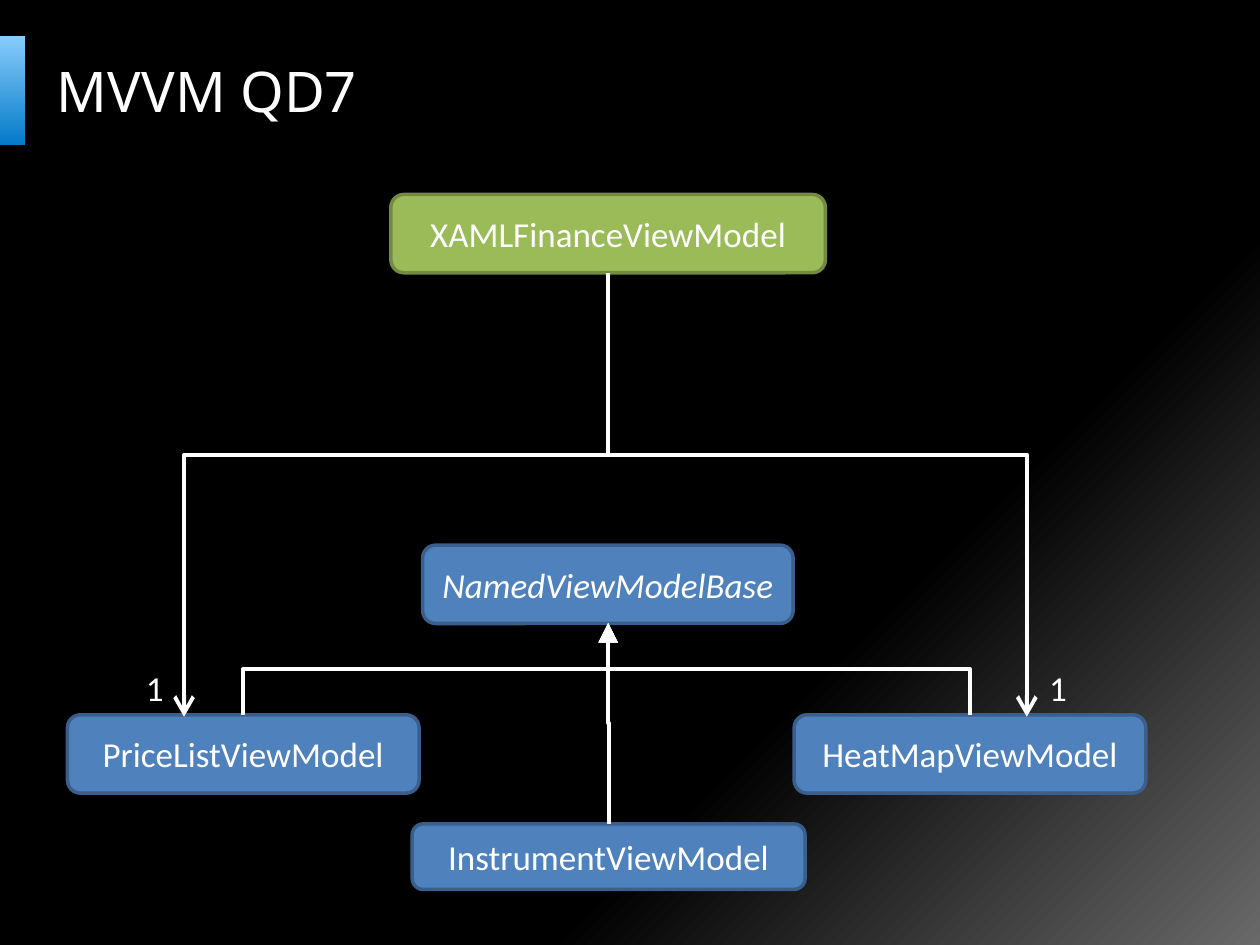
from lxml import etree
from pptx import Presentation
from pptx import util as u
from pptx.dml.color import RGBColor
from pptx.enum import shapes as sh, text as tx
from pptx.oxml import ns

WHITE = "FFFFFF"
BLUE = ("4F81BD", "3A5F8C")
GREEN = ("9BBB59", "738A42")


def color(code):
    return RGBColor.from_string(code)


def child(node, tag, **attrs):
    return etree.SubElement(node, ns.qn(tag), attrs)


def style(shape, value, size, font="Calibri", italic=None):
    para = shape.text_frame.paragraphs[0]
    para.text = value
    para.font.size = u.Pt(size)
    para.font.name = font
    para.font.italic = italic
    para.font.color.rgb = color(WHITE)
    return para


def panel(slide, area, stops, angle=None):
    shape = slide.shapes.add_shape(sh.MSO_SHAPE.RECTANGLE, *map(u.Cm, area))
    shape.shadow.inherit = False
    shape.line.fill.background()
    shape.fill.gradient()
    grad = shape.fill._xPr.find(ns.qn("a:gradFill"))
    for node in list(grad):
        grad.remove(node)
    items = child(grad, "a:gsLst")
    for pos, code in stops:
        stop = child(items, "a:gs", pos=str(pos * 1000))
        child(stop, "a:srgbClr", val=code)
    if angle is None:
        route = child(grad, "a:path", path="circle")
        child(route, "a:fillToRect", l="100000", t="100000")
    else:
        child(grad, "a:lin", ang=str(angle * 60000), scaled="0")


def box(slide, name, area, look=BLUE, italic=None):
    shape = slide.shapes.add_shape(sh.MSO_SHAPE.ROUNDED_RECTANGLE, *map(u.Cm, area))
    shape.shadow.inherit = False
    shape.fill.solid()
    shape.fill.fore_color.rgb = color(look[0])
    shape.line.color.rgb = color(look[1])
    shape.line.width = u.Pt(2)
    shape.text_frame.vertical_anchor = tx.MSO_ANCHOR.MIDDLE
    shape.text_frame.word_wrap = True
    style(shape, name, 20, italic=italic).alignment = tx.PP_ALIGN.CENTER


def label(slide, value, area, size, font="Calibri", wrap=False):
    shape = slide.shapes.add_textbox(*map(u.Cm, area))
    shape.text_frame.word_wrap = wrap
    if wrap:
        shape.text_frame.vertical_anchor = tx.MSO_ANCHOR.MIDDLE
    style(shape, value, size, font)


def elbow(slide, start, end, head, bend=0.5):
    (x1, y1), (x2, y2) = start, end
    mid_x, mid_y = (x1 + x2) / 2, (y1 + y2) / 2
    down = y2 > y1
    half = abs(y2 - y1) / 2
    rise = (x1 - x2 if down else x2 - x1) / 2
    ends = (mid_x - half, mid_y - rise, mid_x + half, mid_y + rise)
    line = slide.shapes.add_connector(sh.MSO_CONNECTOR.ELBOW, *map(u.Cm, ends))
    line.line.color.rgb = color(WHITE)
    line.line.width = u.Pt(2.25)
    props = line._element.spPr
    props.find(ns.qn("a:xfrm")).set("rot", str((90 if down else 270) * 60000))
    guides = props.find(ns.qn("a:prstGeom")).find(ns.qn("a:avLst"))
    child(guides, "a:gd", name="adj1", fmla=f"val {round(bend * 100000)}")
    child(line.line._get_or_add_ln(), "a:tailEnd", type=head, w="lg", len="lg")
    child(props, "a:effectLst")


def main():
    deck = Presentation()
    deck.slide_width, deck.slide_height = u.Cm(25.4), u.Cm(19.05)
    slide = deck.slides.add_slide(deck.slide_layouts[6])
    slide.background.fill.solid()
    slide.background.fill.fore_color.rgb = color("000000")

    panel(slide, (0, 0.73, 0.51, 2.2), [(0, "87CDFC"), (100, "0479C8")], 90)
    panel(slide, (0.51, 0.33, 24.89, 18.72), [(0, "696969"), (33, "000000"), (100, "000000")])
    label(slide, "MVVM QD7", (0.9, 0.73, 18, 2.16), 32, "Noto Sans", True)

    box(slide, "PriceListViewModel", (1.36, 14.41, 7.09, 1.58))
    box(slide, "InstrumentViewModel", (8.31, 16.61, 7.92, 1.32))
    box(slide, "HeatMapViewModel", (16.01, 14.41, 7.09, 1.58))
    box(slide, "XAMLFinanceViewModel", (7.88, 3.92, 8.76, 1.58), GREEN)
    box(slide, "NamedViewModelBase", (8.52, 10.99, 7.47, 1.58), italic=True)

    for start in ((4.9, 14.41), (19.55, 14.41), (12.28, 16.61)):
        elbow(slide, start, (12.26, 12.56), "triangle")
    for end_x, label_x in ((3.71, 2.69), (20.7, 20.9)):
        elbow(slide, (12.26, 5.5), (end_x, 14.45), "arrow", 0.41)
        label(slide, "1", (label_x, 13.32, 0.86, 1.12), 20)

    deck.save("out.pptx")


main()
